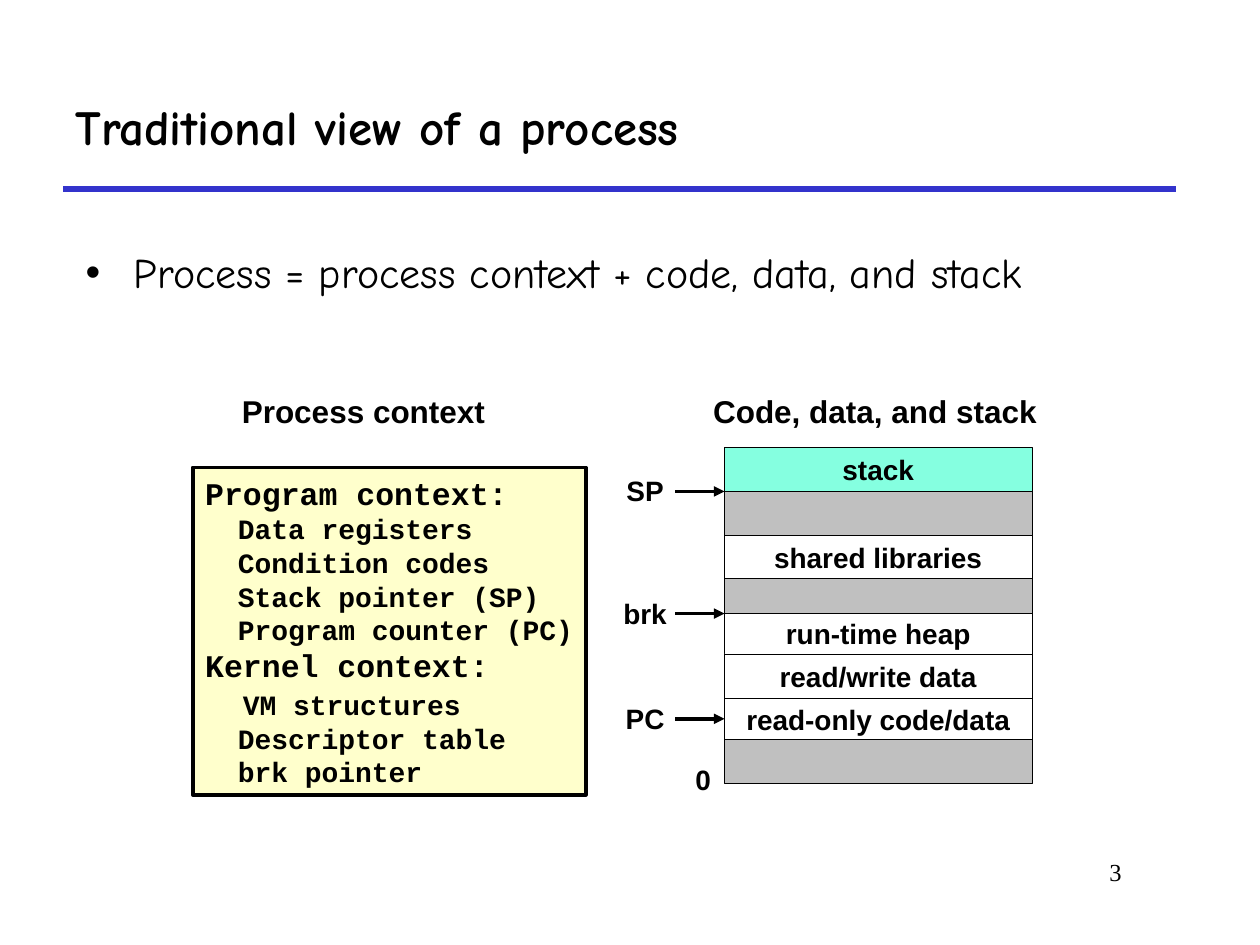
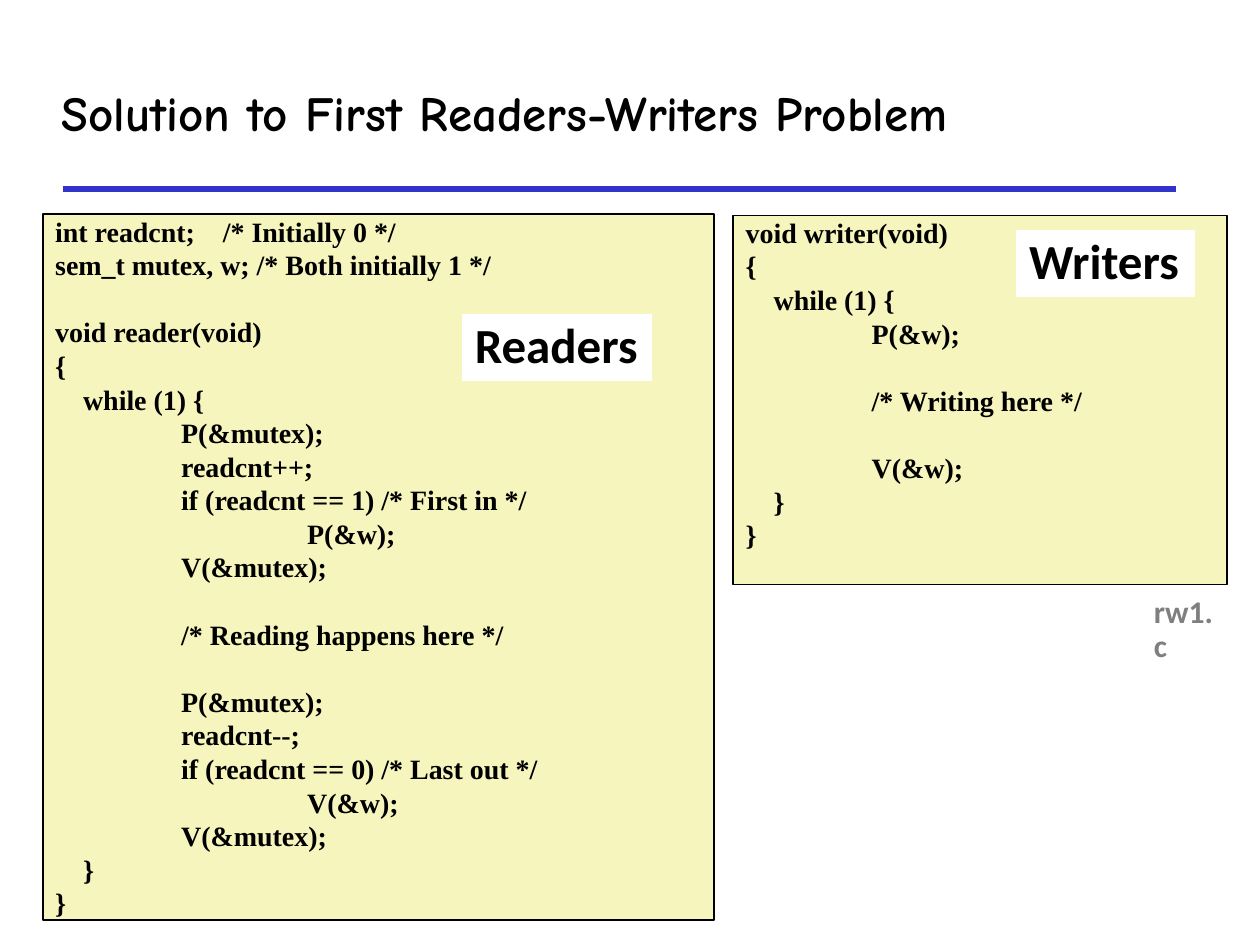
from lxml import etree
from pptx import Presentation
from pptx.dml.color import RGBColor
from pptx.enum.shapes import MSO_CONNECTOR, MSO_SHAPE
from pptx.enum.text import MSO_ANCHOR, MSO_AUTO_SIZE, PP_ALIGN
from pptx.oxml.ns import qn
from pptx.util import Inches, Pt

LEFT, CENTER, RIGHT = PP_ALIGN.LEFT, PP_ALIGN.CENTER, PP_ALIGN.RIGHT
TOP, MIDDLE = MSO_ANCHOR.TOP, MSO_ANCHOR.MIDDLE
NO_FIT = MSO_AUTO_SIZE.NONE
RECTANGLE, STRAIGHT = MSO_SHAPE.RECTANGLE, MSO_CONNECTOR.STRAIGHT

COLORS = {"text": "000000", "rule": "3333CC", "white": "FFFFFF", "gap": "C0C0C0",
          "stack": "85FFE0", "context": "FFFFCC", "code": "F6F5BD", "file": "7F7F7F"}
HEADING_FONT, LABEL_FONT, CONTEXT_FONT = "Comic Neue", "Arial", "Courier New"
CODE_FONT, TAG_FONT = "Times New Roman", "Calibri"

# Content: traditional view of a process
PROCESS_TITLE = "Traditional view of a process"
PROCESS_POINT = "Process = process context + code, data, and stack"
PAGE_NUMBER = "3"
HEADINGS = [("Process context", (1.82, 3.06, 2.13, 0.4)),
            ("Code, data, and stack", (5.56, 3.06, 2.77, 0.4))]
CONTEXTS = {
    "Program context:": ["Data registers", "Condition codes",
                         "Stack pointer (SP)", "Program counter (PC)"],
    "Kernel context:": ["VM structures", "Descriptor table", "brk pointer"],
}
SEGMENTS = [  # label, colour, height
    ("stack", "stack", 0.35), ("", "gap", 0.35), ("shared libraries", "white", 0.34),
    ("", "gap", 0.28), ("run-time heap", "white", 0.32), ("read/write data", "white", 0.35),
    ("read-only code/data", "white", 0.33), ("", "gap", 0.35),
]
POINTERS = {"SP": (0, 1), "brk": (3, 1), "PC": (6, 0.5)}  # segment, share of its height

# Content: readers and writers
SOLUTION_TITLE = "Solution to First Readers-Writers Problem"
READER_CODE = """int readcnt;    /* Initially 0 */
sem_t mutex, w; /* Both initially 1 */

void reader(void)
{
    while (1) {
    \tP(&mutex);
    \treadcnt++;
    \tif (readcnt == 1) /* First in */
      \t\tP(&w);
    \tV(&mutex);

    \t/* Reading happens here */

    \tP(&mutex);
    \treadcnt--;
    \tif (readcnt == 0) /* Last out */
      \t\tV(&w);
    \tV(&mutex);
    }
}"""
WRITER_CODE = """void writer(void)
{
    while (1) {
    \tP(&w);

\t/* Writing here */

    \tV(&w);
    }
}"""
LISTINGS = [(READER_CODE, (0.34, 1.7, 5.33, 5.6)), (WRITER_CODE, (5.82, 1.71, 3.92, 2.93))]
TAB_STOPS = (1, 2)
TAGS = [("Readers", (3.67, 2.5, 1.5, 0.52)), ("Writers", (8.07, 1.83, 1.41, 0.52))]
FILE_NAME = "rw1.c"


def rgb(name):
    return RGBColor.from_string(COLORS[name])


def inches(box):
    return [Inches(length) for length in box]


def write(frame, text, font=LABEL_FONT, size=16, bold=True, color="text", align=LEFT,
          anchor=MIDDLE, wrap=True, inset=(0.1, 0.05, 0.1, 0.05), spacing=1.0, tabs=()):
    """Fill a text frame with one paragraph per line."""
    frame.word_wrap, frame.auto_size, frame.vertical_anchor = wrap, NO_FIT, anchor
    (frame.margin_left, frame.margin_top,
     frame.margin_right, frame.margin_bottom) = inches(inset)
    for number, line in enumerate(text.split("\n")):
        paragraph = frame.add_paragraph() if number else frame.paragraphs[0]
        paragraph.alignment, paragraph.line_spacing = align, spacing
        paragraph.space_before = Pt(0)
        if tabs:
            stops = etree.SubElement(paragraph._p.get_or_add_pPr(), qn("a:tabLst"))
            for stop in tabs:
                etree.SubElement(stops, qn("a:tab"), pos=str(Inches(stop)), algn="l")
        if not line:
            etree.SubElement(paragraph._p, qn("a:endParaRPr"), sz=str(size * 100))
            continue
        run = paragraph.add_run()
        run.text = line
        run.font.name, run.font.size, run.font.bold = font, Pt(size), bold
        run.font.color.rgb = rgb(color)
    return frame.paragraphs


def label(slide, box, text, **style):
    return write(slide.shapes.add_textbox(*inches(box)).text_frame, text, **style)


def panel(slide, box, fill, line="text", width=1.0):
    shape = slide.shapes.add_shape(RECTANGLE, *inches(box))
    shape.shadow.inherit = False
    shape.fill.solid()
    shape.fill.fore_color.rgb = rgb(fill)
    shape.line.color.rgb, shape.line.width = rgb(line), Pt(width)
    return shape.text_frame


def rule(slide, x1, x2, y, color="text", width=2, arrow=False):
    line = slide.shapes.add_connector(STRAIGHT, *inches((x1, y, x2, y)))
    line.line.color.rgb, line.line.width = rgb(color), Pt(width)
    if arrow:
        etree.SubElement(line.line._get_or_add_ln(), qn("a:tailEnd"), type="triangle")
    etree.SubElement(line._element.spPr, qn("a:effectLst"))


def place(placeholder, box):
    (placeholder.left, placeholder.top,
     placeholder.width, placeholder.height) = inches(box)
    return placeholder.text_frame


def titled_slide(deck, layout, title, box):
    slide = deck.slides.add_slide(deck.slide_layouts[layout])
    rule(slide, 0.5, 9.33, 1.5, color="rule", width=3)
    write(place(slide.shapes.title, box), title, font=HEADING_FONT, size=28)
    return slide


def draw_contexts(slide):
    lines = [line for head, items in CONTEXTS.items() for line in (head, *items)]
    paragraphs = write(panel(slide, (1.53, 3.71, 3.12, 2.6), "context", width=2),
                       "\n".join(lines), font=CONTEXT_FONT, inset=(0.1, 0.05, 0, 0.05))
    for line, paragraph in zip(lines, paragraphs):
        if line in CONTEXTS:
            paragraph.runs[0].font.size = Pt(18)
        else:
            paragraph._p.get_or_add_pPr().set("marL", str(Inches(0.26)))
    first_kernel_item = paragraphs[lines.index("Kernel context:") + 1]
    first_kernel_item.space_before = Pt(2)
    first_kernel_item._p.get_or_add_pPr().set("marL", str(Inches(0.3)))


def draw_memory(slide, left=5.75, top=3.55, width=2.44):
    tops = [top]
    for text, fill, height in SEGMENTS:
        frame = panel(slide, (left, tops[-1], width, height), fill, width=0.25)
        if text:
            write(frame, text, align=CENTER)
        tops.append(tops[-1] + height)
    for text, (segment, share) in POINTERS.items():
        y = tops[segment] + share * SEGMENTS[segment][2]
        label(slide, (left - 0.9, y - 0.19, 0.54, 0.37), text, align=CENTER, wrap=False)
        rule(slide, left - 0.39, left, y, arrow=True)
    label(slide, (left - 0.33, tops[-1] - 0.22, 0.32, 0.37), "0", align=CENTER, wrap=False)


def process_slide(deck):
    slide = titled_slide(deck, 1, PROCESS_TITLE, (0.5, 0.5, 8.83, 1))
    point, = write(place(slide.placeholders[1], (0.58, 1.91, 8.67, 1.17)), PROCESS_POINT,
                   font=HEADING_FONT, size=24, bold=False, anchor=TOP)
    indent = Inches(0.38)
    properties = point._p.get_or_add_pPr()
    properties.set("marL", str(indent))
    properties.set("indent", str(-indent))
    etree.SubElement(properties, qn("a:buChar"), char="•")
    for text, box in HEADINGS:
        label(slide, box, text, size=18, align=CENTER, wrap=False)
    draw_contexts(slide)
    draw_memory(slide)
    label(slide, (7.58, 6.75, 1.42, 0.5), PAGE_NUMBER, font=CODE_FONT, size=14,
          bold=False, align=RIGHT, anchor=TOP)


def solution_slide(deck):
    slide = titled_slide(deck, 5, SOLUTION_TITLE, (0.39, 0.47, 9.36, 0.83))
    for code, box in LISTINGS:
        write(panel(slide, box, "code"), code, font=CODE_FONT, anchor=TOP,
              inset=(0.1, 0, 0.1, 0), tabs=TAB_STOPS)
    for text, box in TAGS:
        write(panel(slide, box, "white", line="white", width=0.75), text, font=TAG_FONT,
              size=28, anchor=TOP, wrap=False, spacing=0.9)
    label(slide, (9.06, 4.68, 0.77, 0.37), FILE_NAME, font=TAG_FONT, size=18,
          color="file", anchor=TOP, spacing=0.9)


def main():
    deck = Presentation()
    deck.slide_width, deck.slide_height = inches((10, 7.5))
    process_slide(deck)
    solution_slide(deck)
    deck.save("out.pptx")


if __name__ == "__main__":
    main()
